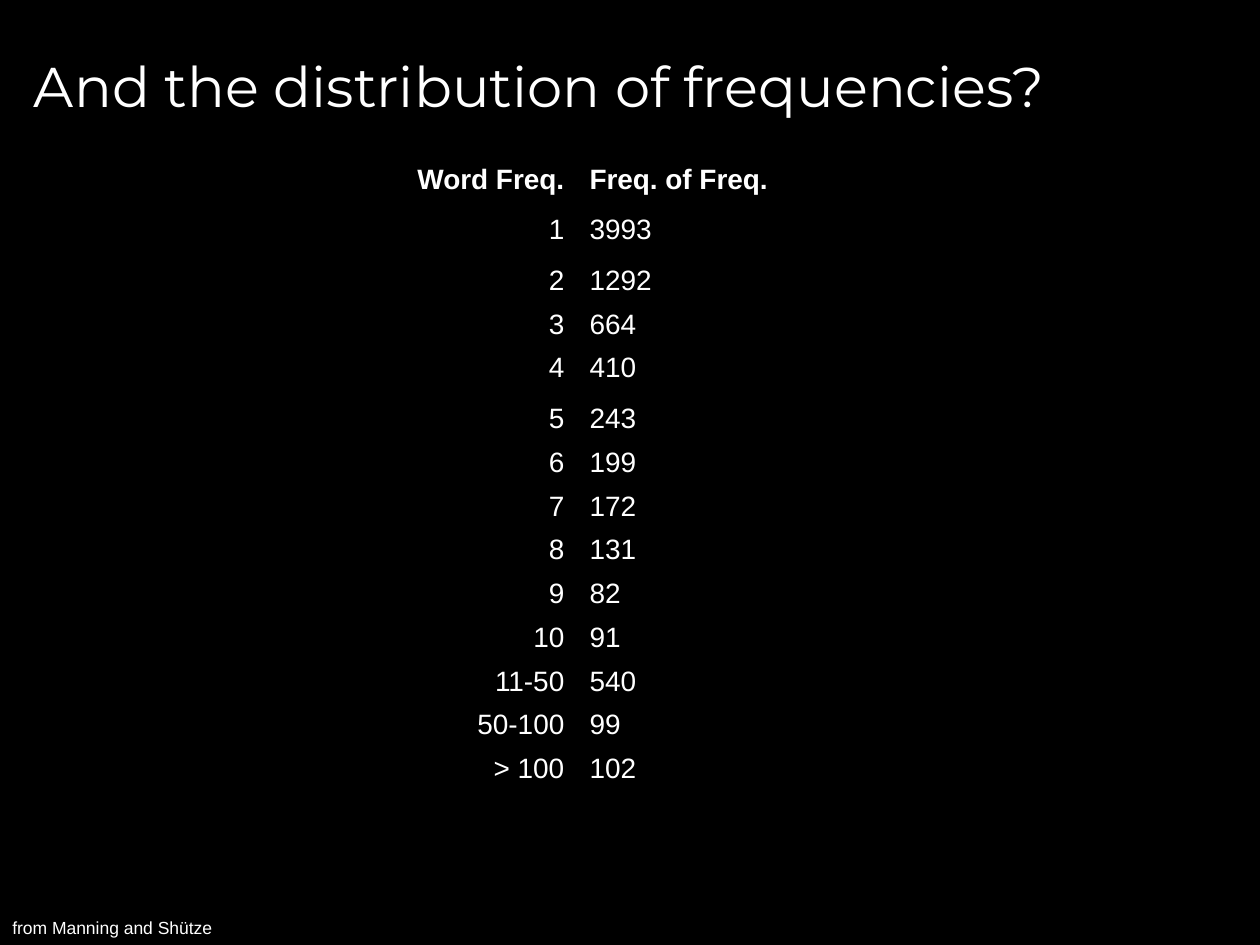
from lxml.etree import SubElement
from pptx import Presentation
from pptx.dml.color import RGBColor
from pptx.enum.text import MSO_ANCHOR as Anchor, MSO_AUTO_SIZE as AutoSize, PP_ALIGN as Align
from pptx.oxml.ns import qn
from pptx.util import Cm, Pt

COLOURS = {"background": "000000", "text": "FFFFFF"}
FREQUENCIES = [
    ("Word Freq.", "Freq. of Freq."),
    ("1", "3993"),
    ("2", "1292"),
    ("3", "664"),
    ("4", "410"),
    ("5", "243"),
    ("6", "199"),
    ("7", "172"),
    ("8", "131"),
    ("9", "82"),
    ("10", "91"),
    ("11-50", "540"),
    ("50-100", "99"),
    ("> 100", "102"),
]
COLUMN_WIDTHS = (4.01, 6.35)
ROW_HEIGHT, TALL_HEIGHT = 0.88, 1.02
TALL_ROWS = (0, 1, 4)


def add_span(para, text, size, font="Arial", bold=False):
    """Add one formatted run to a paragraph."""
    span = para.add_run()
    span.text = text
    span.font.size = Pt(size)
    span.font.name = font
    span.font.bold = bold
    span.font.color.rgb = RGBColor.from_string(COLOURS["text"])


def fill_title(page, left, top, width, height):
    """Place and fill the title placeholder."""
    box = page.shapes.title
    box.left, box.top, box.width, box.height = Cm(left), Cm(top), Cm(width), Cm(height)
    frame = box.text_frame
    frame.auto_size = AutoSize.NONE
    frame.vertical_anchor = Anchor.MIDDLE
    para = frame.paragraphs[0]
    para.alignment = Align.LEFT
    add_span(para, "And the distribution of frequencies?", 32, "Montserrat")


def clear_cell(cell):
    """Remove the borders and fill of a table cell."""
    properties = cell._tc.get_or_add_tcPr()
    for side in ("L", "R", "T", "B"):
        line = SubElement(properties, qn(f"a:ln{side}"))
        SubElement(line, qn("a:noFill"))
    cell.fill.background()


def add_frequency_table(page, left, top):
    """Add the two-column table of word frequencies."""
    heights = [TALL_HEIGHT if row in TALL_ROWS else ROW_HEIGHT for row in range(len(FREQUENCIES))]
    table = page.shapes.add_table(
        len(FREQUENCIES), len(COLUMN_WIDTHS),
        Cm(left), Cm(top), Cm(sum(COLUMN_WIDTHS)), Cm(sum(heights)),
    ).table
    table.first_row = table.horz_banding = False
    for column, width in zip(table.columns, COLUMN_WIDTHS):
        column.width = Cm(width)
    for index, (values, height) in enumerate(zip(FREQUENCIES, heights)):
        table.rows[index].height = Cm(height)
        for cell, text, alignment in zip(table.rows[index].cells, values, (Align.RIGHT, Align.LEFT)):
            clear_cell(cell)
            para = cell.text_frame.paragraphs[0]
            para.alignment = alignment
            add_span(para, text, 16, bold=index == 0)


def add_source_note(page, left, top, width, height):
    """Add the source credit at the foot of the slide."""
    box = page.shapes.add_textbox(Cm(left), Cm(top), Cm(width), Cm(height))
    box.text_frame.word_wrap = False
    box.text_frame.auto_size = AutoSize.SHAPE_TO_FIT_TEXT
    add_span(box.text_frame.paragraphs[0], "from Manning and Shütze", 10)


def main():
    """Build and save the deck."""
    deck = Presentation()
    deck.slide_width, deck.slide_height = Cm(25.4), Cm(19.05)
    page = deck.slides.add_slide(deck.slide_layouts.get_by_name("Title Only"))
    page.background.fill.solid()
    page.background.fill.fore_color.rgb = RGBColor.from_string(COLOURS["background"])
    fill_title(page, 0.43, 0.3, 24.13, 2.84)
    add_frequency_table(page, 7.62, 3.18)
    add_source_note(page, 0, 18.36, 4.57, 0.69)
    deck.save("out.pptx")


if __name__ == "__main__":
    main()
